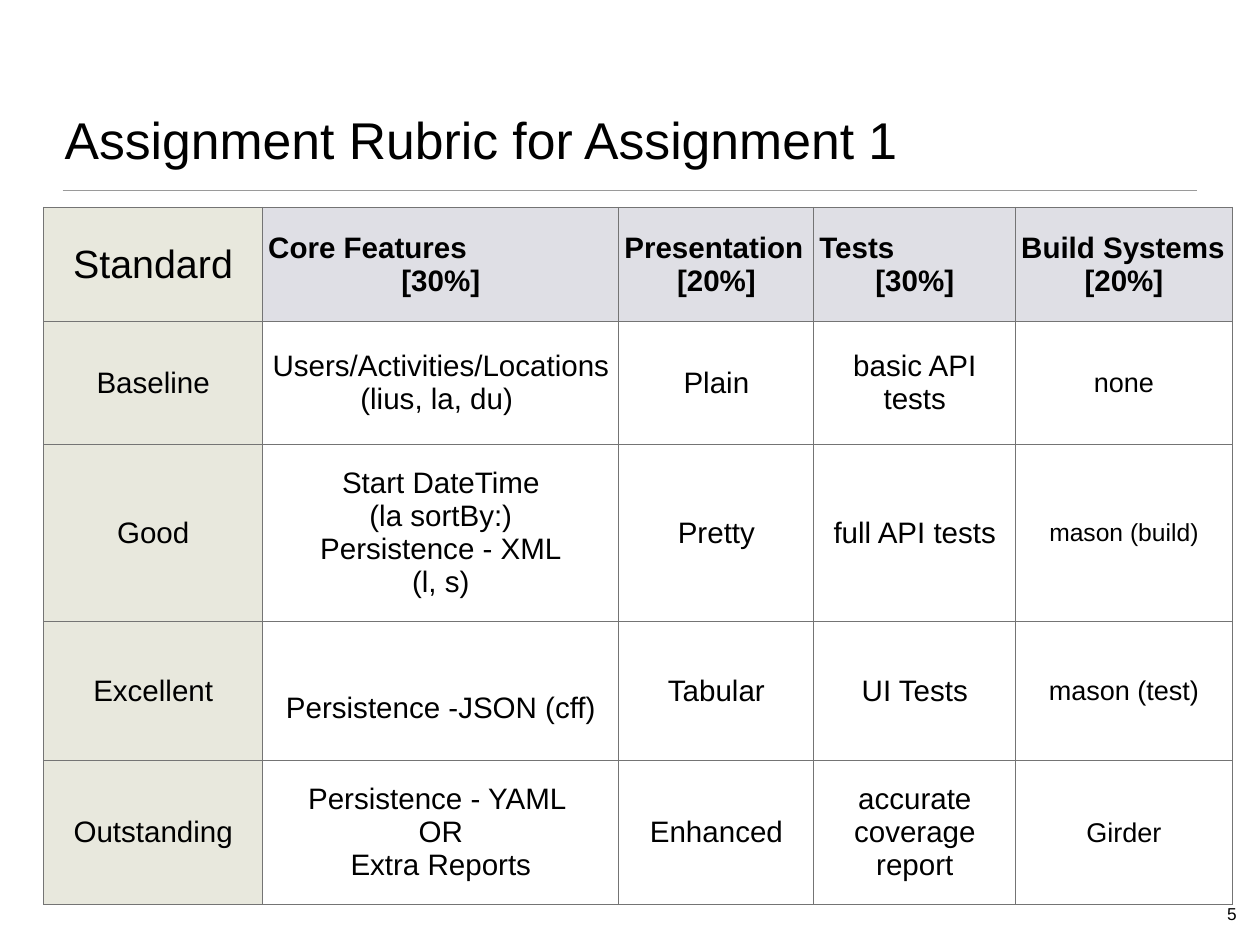
from lxml.etree import SubElement
from pptx import Presentation
from pptx.dml.color import RGBColor
from pptx.enum.shapes import MSO_CONNECTOR as Connector
from pptx.enum.text import MSO_ANCHOR as Anchor, MSO_AUTO_SIZE as AutoSize, PP_ALIGN as Align
from pptx.oxml.ns import qn
from pptx.util import Pt

FONT = "Arial"
BLACK, RULE, BORDER = "000000", "9A9A9A", "747474"
STANDARD_FILL, HEADER_FILL, CELL_FILL = "E8E8DD", "DFDFE5", "FFFFFF"
PADDING = 4.5

COLUMN_WIDTHS = [178, 289.5, 158.5, 164, 176]
ROW_HEIGHTS = [93, 99.5, 144.5, 112.5, 117.5]
RUBRIC = [
    ["Standard", "Core Features\n[30%]", "Presentation\n[20%]", "Tests\n[30%]", "Build Systems\n[20%]"],
    ["Baseline", "Users/Activities/Locations\n(lius, la, du) ", "Plain", "basic API tests", "none"],
    ["Good", "Start DateTime\n(la sortBy:)\nPersistence - XML\n(l, s)", "Pretty", "full API tests",
     "mason (build)"],
    ["Excellent", "Persistence -JSON (cff)", "Tabular", "UI Tests", "mason (test)"],
    ["Outstanding", "Persistence - YAML \nOR\nExtra Reports", "Enhanced", "accurate coverage report", "Girder"],
]
# Cells whose text is not 24 points, and cells pushed down by one line
CELL_SIZES = {(0, 0): 32, (1, 4): 22, (2, 4): 20, (3, 4): 22, (4, 4): 22}
TOP_GAPS = {(3, 1): 27}


def color(hex_code):
    return RGBColor.from_string(hex_code)


def write(frame, text, size=24, bold=False, align=Align.CENTER, first_align=None,
          anchor=Anchor.MIDDLE, wrap=True):
    """Fill a text frame, one paragraph per line of text."""
    frame.word_wrap = wrap
    frame.vertical_anchor = anchor
    for index, line in enumerate(text.split("\n")):
        para = frame.paragraphs[0] if index == 0 else frame.add_paragraph()
        para.alignment = first_align if index == 0 and first_align is not None else align
        span = para.add_run()
        span.text = line
        span.font.name, span.font.size, span.font.bold = FONT, Pt(size), bold
        span.font.color.rgb = color(BLACK)


def clear_margins(frame):
    frame.margin_left = frame.margin_top = frame.margin_right = frame.margin_bottom = 0


def add_border(cell):
    """Draw all four cell sides; lines must precede the fill in tcPr."""
    properties = cell._tc.get_or_add_tcPr()
    for index, side in enumerate(("lnL", "lnR", "lnT", "lnB")):
        line = SubElement(properties, qn(f"a:{side}"), w=str(Pt(1)))
        fill = SubElement(line, qn("a:solidFill"))
        SubElement(fill, qn("a:srgbClr"), val=BORDER)
        properties.insert(index, line)


def add_heading(page, left, top, width, height):
    """Title with a thin rule below it."""
    title = page.shapes.title
    title.left, title.top, title.width, title.height = Pt(left), Pt(top), Pt(width), Pt(height)
    frame = title.text_frame
    clear_margins(frame)
    frame.auto_size = AutoSize.NONE
    write(frame, "Assignment Rubric for Assignment 1", size=42, align=Align.LEFT, anchor=Anchor.BOTTOM)

    rule_left, rule_y = left - 1.5, top + height + 17
    rule = page.shapes.add_connector(Connector.STRAIGHT, Pt(rule_left), Pt(rule_y),
                                     Pt(rule_left + 921.5), Pt(rule_y))
    rule.line.color.rgb = color(RULE)
    rule.line.width = Pt(1)
    SubElement(rule._element.spPr, qn("a:effectLst"))


def add_rubric(page, left, top):
    """Table of standards by assessed area."""
    table = page.shapes.add_table(len(ROW_HEIGHTS), len(COLUMN_WIDTHS), Pt(left), Pt(top),
                                  Pt(sum(COLUMN_WIDTHS)), Pt(sum(ROW_HEIGHTS))).table
    table.horz_banding = False
    for column, width in zip(table.columns, COLUMN_WIDTHS):
        column.width = Pt(width)
    for row, height in zip(table.rows, ROW_HEIGHTS):
        row.height = Pt(height)

    for row, texts in enumerate(RUBRIC):
        for column, text in enumerate(texts):
            cell = table.cell(row, column)
            is_header = row == 0 and column > 0
            cell.margin_left = cell.margin_right = cell.margin_bottom = Pt(PADDING)
            cell.margin_top = Pt(PADDING + TOP_GAPS.get((row, column), 0))
            cell.vertical_anchor = Anchor.MIDDLE
            cell.fill.solid()
            cell.fill.fore_color.rgb = color(
                STANDARD_FILL if column == 0 else HEADER_FILL if is_header else CELL_FILL)
            add_border(cell)
            write(cell.text_frame, text, size=CELL_SIZES.get((row, column), 24), bold=is_header,
                  first_align=Align.LEFT if is_header else None)


def add_page_number(page, left, top, width, height):
    box = page.shapes.add_textbox(Pt(left), Pt(top), Pt(width), Pt(height))
    clear_margins(box.text_frame)
    write(box.text_frame, "5", size=14, align=Align.RIGHT, anchor=Anchor.TOP, wrap=False)


deck = Presentation()
deck.slide_width, deck.slide_height = Pt(1024), Pt(768)
page = deck.slides.add_slide(deck.slide_layouts[5])
add_heading(page, 52.5, 43.5, 828.5, 94.5)
add_rubric(page, 35.5, 168.5)
add_page_number(page, 980.5, 734, 24.5, 24)
deck.save("out.pptx")
